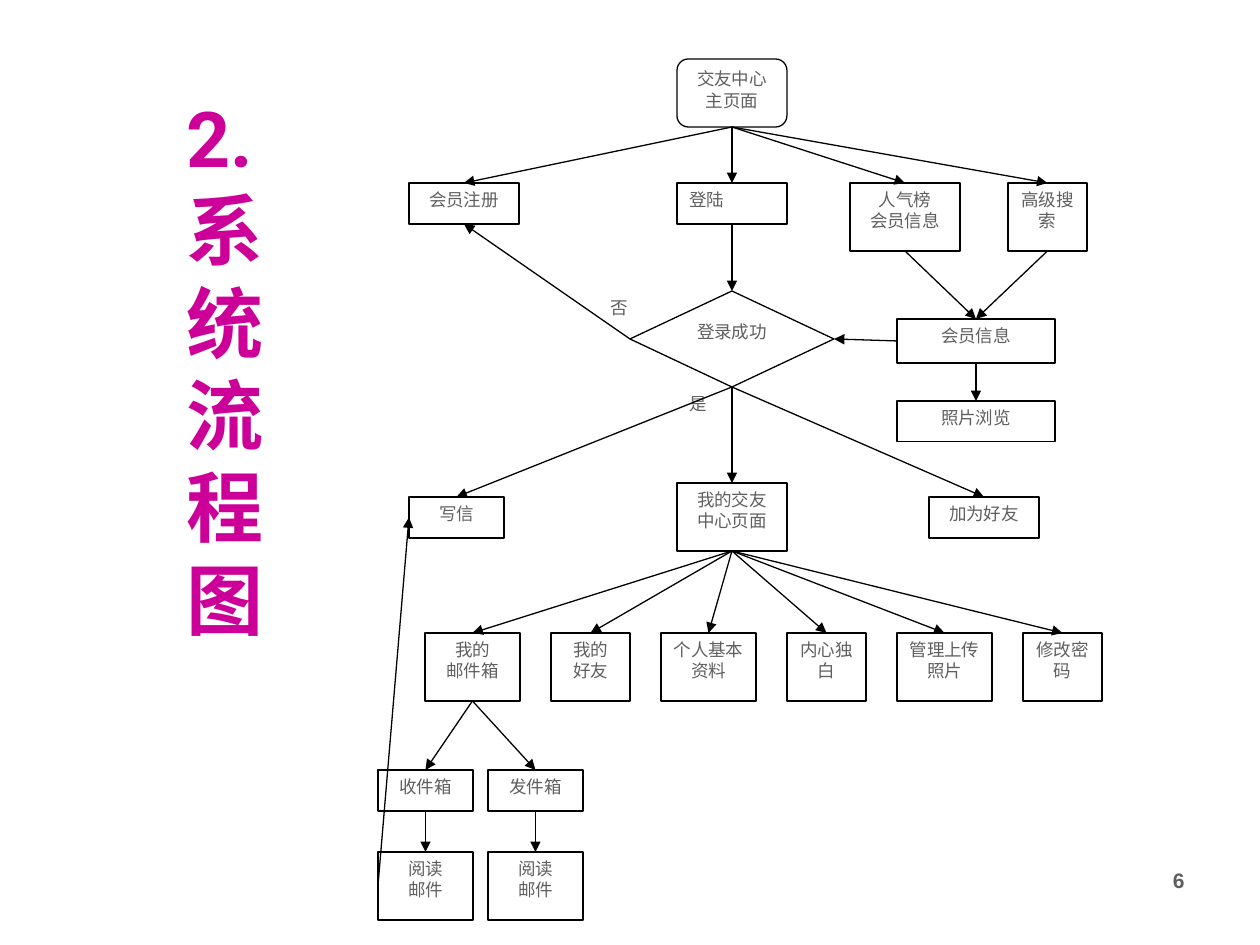
"""Build the system flow chart slide of a friend-making site."""
import pptx
import pptx.util
import pptx.dml.color
import pptx.enum.shapes
import pptx.enum.text
import lxml.etree

PX = 914400 // 126
BLACK = pptx.dml.color.RGBColor(0x00, 0x00, 0x00)
WHITE = pptx.dml.color.RGBColor(0xFF, 0xFF, 0xFF)
GRAY = pptx.dml.color.RGBColor(0x5F, 0x5F, 0x5F)
MAGENTA = pptx.dml.color.RGBColor(0xCC, 0x00, 0x99)
A = "{http://schemas.openxmlformats.org/drawingml/2006/main}"
SHAPE = pptx.enum.shapes.MSO_SHAPE
ALIGN = pptx.enum.text.PP_ALIGN
ANCHOR = pptx.enum.text.MSO_ANCHOR


def write(sp, text, size=10, font="Times New Roman", color=GRAY, bold=False,
          align=ALIGN.CENTER, anchor=ANCHOR.TOP):
    tf = sp.text_frame
    tf.word_wrap = True
    tf.auto_size = pptx.enum.text.MSO_AUTO_SIZE.NONE
    tf.vertical_anchor = anchor
    tf.text = text
    for p in tf.paragraphs:
        p.alignment = align
        p.font.size = pptx.util.Pt(size)
        p.font.name = font
        p.font.bold = bold
        p.font.color.rgb = color


prs = pptx.Presentation()
prs.slide_width, prs.slide_height = 1260 * PX, 945 * PX
s = prs.slides.add_slide(prs.slide_layouts[5])

title = s.shapes.title
title.left, title.top, title.width, title.height = 174 * PX, 0, 128 * PX, 735 * PX
write(title, "2.系统流程图", size=44, font="Roboto", color=MAGENTA, bold=True,
      align=ALIGN.LEFT, anchor=ANCHOR.MIDDLE)

sp = s.shapes.add_textbox(903 * PX, 861 * PX, 294 * PX, 65 * PX)
write(sp, "6", size=12, font="Arial", bold=True, align=ALIGN.RIGHT)

SHORT, TALL = 41, 68
boxes = {
    "home": ("交友中心主页面", 677, 59, 110, TALL),
    "register": ("会员注册", 409, 183, 110, SHORT),
    "login": ("登陆", 677, 183, 110, SHORT),
    "ranking": ("人气榜\n会员信息", 850, 183, 110, TALL),
    "search": ("高级搜索", 1008, 183, 79, TALL),
    "success": ("登录成功", 630, 291, 204, 96),
    "member": ("会员信息", 897, 319, 158, 44),
    "photos": ("照片浏览", 897, 401, 158, SHORT),
    "compose": ("写信", 409, 497, 95, SHORT),
    "center": ("我的交友\n中心页面", 677, 483, 110, TALL),
    "add friend": ("加为好友", 929, 497, 110, SHORT),
    "mailbox": ("我的\n邮件箱", 425, 633, 95, TALL),
    "friends": ("我的\n好友", 551, 633, 79, TALL),
    "profile": ("个人基本资料", 661, 633, 95, TALL),
    "monologue": ("内心独白", 787, 633, 79, TALL),
    "upload": ("管理上传照片", 897, 633, 95, TALL),
    "password": ("修改密码", 1023, 633, 79, TALL),
    "inbox": ("收件箱", 378, 770, 95, SHORT),
    "outbox": ("发件箱", 488, 770, 95, SHORT),
    "read inbox": ("阅读\n邮件", 378, 852, 95, TALL),
    "read outbox": ("阅读\n邮件", 488, 852, 95, TALL),
}
kinds = {"home": SHAPE.ROUNDED_RECTANGLE, "success": SHAPE.FLOWCHART_DECISION}
nodes = {}
for name, (text, x, y, w, h) in boxes.items():
    sp = s.shapes.add_shape(kinds.get(name, SHAPE.RECTANGLE),
                            x * PX, y * PX, w * PX, h * PX)
    sp.shadow.inherit = False
    sp.fill.solid()
    sp.fill.fore_color.rgb = WHITE
    sp.line.color.rgb = BLACK
    sp.line.width = pptx.util.Pt(0.75)
    write(sp, text, align=ALIGN.JUSTIFY if name == "login" else ALIGN.CENTER)
    nodes[name] = sp

for text, x, y in (("是", 677, 387), ("否", 598, 291)):
    sp = s.shapes.add_textbox(x * PX, y * PX, 48 * PX, 41 * PX)
    write(sp, text, align=ALIGN.JUSTIFY)

TOP, LEFT, BOTTOM, RIGHT = range(4)
children = {
    "home": ("register", "login", "ranking", "search"),
    "login": ("success",),
    "ranking": ("member",),
    "search": ("member",),
    "member": ("photos",),
    "success": ("compose", "center", "add friend"),
    "center": ("mailbox", "friends", "profile", "monologue", "upload", "password"),
    "mailbox": ("inbox", "outbox"),
    "inbox": ("read inbox",),
    "outbox": ("read outbox",),
}
links = [(a, BOTTOM, b, TOP) for a, ends in children.items() for b in ends]
links += [
    ("success", LEFT, "register", BOTTOM),
    ("member", LEFT, "success", RIGHT),
    ("read inbox", LEFT, "compose", LEFT),
]
for start, start_side, end, end_side in links:
    cn = s.shapes.add_connector(pptx.enum.shapes.MSO_CONNECTOR.STRAIGHT, 0, 0, 0, 0)
    cn.begin_connect(nodes[start], start_side)
    cn.end_connect(nodes[end], end_side)
    cn.line.color.rgb = BLACK
    cn.line.width = pptx.util.Pt(0.75)
    lxml.etree.SubElement(cn.line._get_or_add_ln(), A + "tailEnd", type="triangle")
    lxml.etree.SubElement(cn._element.spPr, A + "effectLst")

prs.save("out.pptx")
